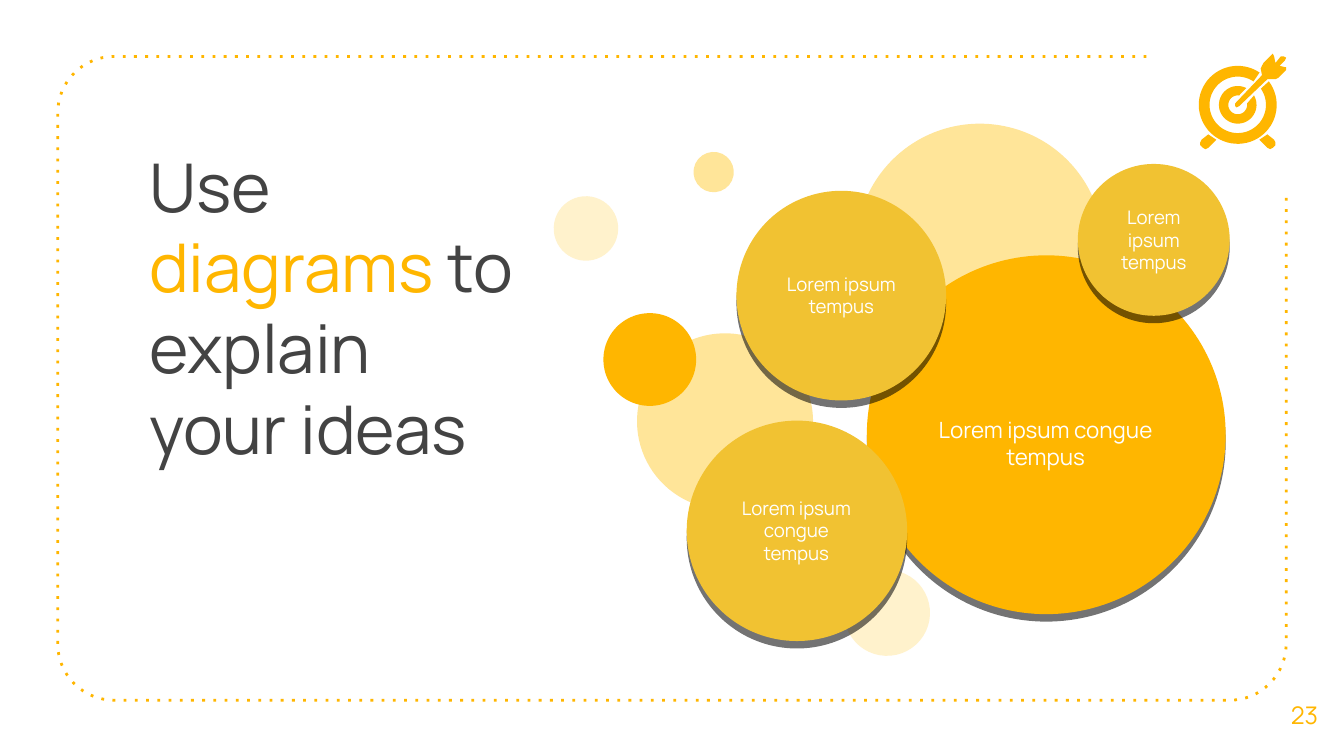
from math import cos, radians, sin

from lxml.etree import SubElement
from pptx import Presentation
from pptx.dml.color import RGBColor
from pptx.enum.shapes import MSO_SHAPE
from pptx.enum.text import MSO_ANCHOR, MSO_AUTO_SIZE, PP_ALIGN
from pptx.oxml.ns import qn
from pptx.util import Inches, Pt

FONT = "Manrope"
AMBER, GOLD, SAND, CREAM = "FFB600", "F1C232", "FFE599", "FFF2CC"
GREY, WHITE, BLACK = "434343", "FFFFFF", "000000"
SLIDE_WIDTH = 10
SLIDE_HEIGHT = SLIDE_WIDTH * 9 / 16

TITLE = [("Use ", GREY), ("diagrams", AMBER), (" to explain your ideas", GREY)]
TITLE_BOX = (1.01, 0.98, 2.97, 0.94)
PAGE_NUMBER = "23"
PAGE_NUMBER_BOX = (9.41, 5.02, 0.59, 0.6)

BUBBLES = [
    (6.28, 4.24, 0.64, CREAM),
    (4.12, 1.46, 0.48, CREAM),
    (4.74, 2.48, 1.31, SAND),
    (6.37, 0.92, 1.84, SAND),
    (4.49, 2.33, 0.69, AMBER),
    (5.16, 1.13, 0.3, SAND),
]
TOPICS = [
    ("Lorem ipsum congue tempus", 12, (6.45, 1.9, 2.67, AMBER), (6.76, 2.66, 2.04, 1.27)),
    ("Lorem ipsum tempus", 10, (5.48, 1.42, 1.56, GOLD), (5.73, 1.68, 1.06, 1.03)),
    ("Lorem ipsum congue tempus", 10, (5.11, 3.13, 1.64, GOLD), (5.34, 3.43, 1.17, 1.03)),
    ("Lorem ipsum tempus", 10, (8.02, 1.22, 1.13, GOLD), (8.2, 1.41, 0.77, 0.75)),
]

FRAME_LEFT, FRAME_TOP, FRAME_RIGHT, FRAME_BOTTOM = 0.43, 0.42, 9.57, 5.21
FRAME_START, FRAME_END, CORNER = 8.53, 1.46, 0.42
TARGET = (9.21, 0.78)
RINGS = [
    ((0.29, -37, 304), (0.21, -35, 304)),
    ((0.14, -30, 297), (0.07, -8, 278)),
]
FOOT = [(8.99, 1), (8.94, 1.04), (8.93, 1.06), (8.93, 1.08), (8.95, 1.1),
        (8.97, 1.11), (8.99, 1.1), (9.05, 1.04), (9.02, 1.02)]
DART = [(9.47, 0.4), (9.46, 0.41), (9.4, 0.47), (9.39, 0.49), (9.38, 0.51),
        (9.39, 0.56), (9.19, 0.77), (9.19, 0.79), (9.2, 0.8), (9.22, 0.79),
        (9.43, 0.59), (9.47, 0.59), (9.49, 0.59), (9.51, 0.58), (9.57, 0.52),
        (9.57, 0.5), (9.56, 0.5), (9.52, 0.49), (9.56, 0.45), (9.57, 0.43),
        (9.55, 0.42), (9.53, 0.42), (9.49, 0.47), (9.48, 0.42)]


def colour(value):
    """Turn a hex string into a colour."""
    return RGBColor.from_string(value)


def apply(target, values):
    """Set attributes from a dict of format values."""
    for name, value in values.items():
        setattr(target, name, value)


def arc(center, radius, start, end, steps=60):
    """Return points on an arc, with angles in degrees clockwise from the right."""
    angles = [radians(start + (end - start) * i / steps) for i in range(steps + 1)]
    return [(center[0] + radius * cos(a), center[1] + radius * sin(a)) for a in angles]


def paint(shape, fill):
    """Give a shape a plain fill without line or shadow."""
    shape.shadow.inherit = False
    shape.line.fill.background()
    shape.fill.solid()
    shape.fill.fore_color.rgb = colour(fill)


def add_outline(slide, points, closed=True):
    """Draw a freeform through points given in inches."""
    places = [(Inches(x), Inches(y)) for x, y in points]
    builder = slide.shapes.build_freeform(*places[0])
    builder.add_line_segments(places[1:], close=closed)
    shape = builder.convert_to_shape()
    shape.shadow.inherit = False
    return shape


def add_circle(slide, left, top, size, fill):
    """Add a filled circle."""
    box = [Inches(value) for value in (left, top, size, size)]
    shape = slide.shapes.add_shape(MSO_SHAPE.OVAL, *box)
    paint(shape, fill)
    return shape


def drop_shadow(shape):
    """Put a hard, half-clear shadow right below a shape."""
    effects = shape._element.spPr.find(qn("a:effectLst"))
    shadow = SubElement(effects, qn("a:outerShdw"), dist=str(Pt(4)), dir="5400000",
                        algn="bl", rotWithShape="0")
    shade = SubElement(shadow, qn("a:srgbClr"), val=BLACK)
    SubElement(shade, qn("a:alpha"), val="55000")


def write(shape, box, runs, size, anchor, align):
    """Place a text shape and fill it with coloured runs."""
    apply(shape, dict(zip(("left", "top", "width", "height"), map(Inches, box))))
    margins = {f"margin_{side}": Inches(0.1) for side in ("left", "top", "right", "bottom")}
    frame = shape.text_frame
    apply(frame, {"word_wrap": True, "auto_size": MSO_AUTO_SIZE.NONE,
                  "vertical_anchor": anchor, **margins})
    paragraph = frame.paragraphs[0]
    paragraph.alignment = align
    for text, shade in runs:
        run = paragraph.add_run()
        run.text = text
        apply(run.font, {"name": FONT, "size": Pt(size)})
        run.font.color.rgb = colour(shade)


def add_label(slide, box, text, size, shade):
    """Add a centred text box."""
    label = slide.shapes.add_textbox(0, 0, 0, 0)
    write(label, box, [(text, shade)], size, MSO_ANCHOR.MIDDLE, PP_ALIGN.CENTER)


def add_frame(slide):
    """Draw the dotted frame that is open at the top right."""
    left, right = FRAME_LEFT + CORNER, FRAME_RIGHT - CORNER
    top, bottom = FRAME_TOP + CORNER, FRAME_BOTTOM - CORNER
    points = [(FRAME_START, FRAME_TOP)]
    for center, start in (((left, top), 270), ((left, bottom), 180), ((right, bottom), 90)):
        points += arc(center, CORNER, start, start - 90, 16)
    points.append((FRAME_RIGHT, FRAME_END))
    frame = add_outline(slide, points, closed=False)
    frame.fill.background()
    frame.line.width = Pt(1.5)
    frame.line.color.rgb = colour(AMBER)
    SubElement(frame.line._get_or_add_ln(), qn("a:prstDash"), val="dot")


def add_target(slide):
    """Draw the target with its rings, feet and dart."""
    outlines = [arc(TARGET, *outer) + arc(TARGET, *inner)[::-1] for outer, inner in RINGS]
    outlines += [FOOT, [(2 * TARGET[0] - x, y) for x, y in FOOT], DART]
    for points in outlines:
        paint(add_outline(slide, points), AMBER)


def main():
    """Build the slide and save it."""
    presentation = Presentation()
    apply(presentation, {"slide_width": Inches(SLIDE_WIDTH),
                         "slide_height": Inches(SLIDE_HEIGHT)})
    slide = presentation.slides.add_slide(presentation.slide_layouts[5])
    add_frame(slide)
    write(slide.shapes.title, TITLE_BOX, TITLE, 36, MSO_ANCHOR.TOP, PP_ALIGN.LEFT)
    add_label(slide, PAGE_NUMBER_BOX, PAGE_NUMBER, 13, AMBER)
    for bubble in BUBBLES:
        add_circle(slide, *bubble).rotation = 250
    for text, size, circle, box in TOPICS:
        drop_shadow(add_circle(slide, *circle))
        add_label(slide, box, text, size, WHITE)
    add_target(slide)
    presentation.save("out.pptx")


if __name__ == "__main__":
    main()
